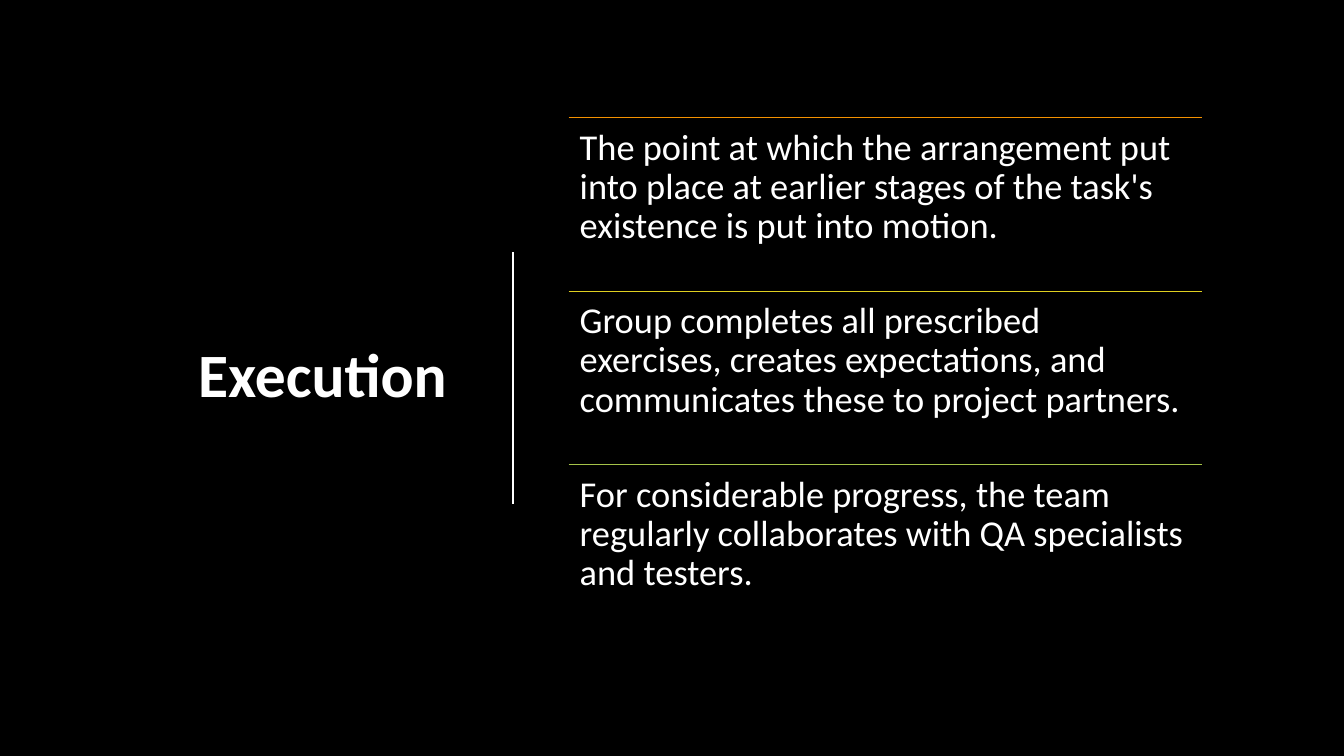
from dataclasses import dataclass

from lxml import etree
from pptx import Presentation
from pptx import util as u
from pptx.dml.color import RGBColor
from pptx.enum import shapes, text
from pptx.oxml import ns


@dataclass(frozen=True)
class Theme:
    font: str = "Calibri"
    background: str = "000000"
    ink: str = "FFFFFF"
    rules: tuple = ("F49100", "DFCF20", "A5C249")
    title_size: int = 44
    point_size: int = 26
    divider_width: float = 1.25
    rule_width: float = 0.5


THEME = Theme()
POINTS = (
    "The point at which the arrangement put into place at earlier stages of the task's existence is put into motion.",
    "Group completes all prescribed exercises, creates expectations, and communicates these to project partners.",
    "For considerable progress, the team regularly collaborates with QA specialists and testers.",
)


def apply_format(target, values):
    for name, value in values.items():
        setattr(target, name, value)


def add_line(slide, start, end, color, width):
    line = slide.shapes.add_connector(
        shapes.MSO_CONNECTOR.STRAIGHT, *map(u.Cm, start + end))
    line.line.color.rgb = RGBColor.from_string(color)
    line.line.width = u.Pt(width)
    etree.SubElement(line._element.spPr, ns.qn("a:effectLst"))


def add_text(slide, box, wording, frame_format, paragraph_format, font_format):
    frame = slide.shapes.add_textbox(*map(u.Cm, box)).text_frame
    apply_format(frame, {"word_wrap": True, **frame_format})
    paragraph = frame.paragraphs[0]
    apply_format(paragraph, {"line_spacing": 0.9, **paragraph_format})
    run = paragraph.add_run()
    run.text = wording
    apply_format(run.font, {"name": THEME.font, **font_format})
    run.font.color.rgb = RGBColor.from_string(THEME.ink)


def add_title(slide, box, wording):
    add_text(
        slide, box, wording,
        {"vertical_anchor": text.MSO_ANCHOR.MIDDLE},
        {"alignment": text.PP_ALIGN.RIGHT, "space_after": u.Pt(6)},
        {"size": u.Pt(THEME.title_size), "bold": True})


def add_divider(slide, box):
    left, top, _, height = box
    add_line(slide, (left, top), (left, top + height),
             THEME.ink, THEME.divider_width)


def add_points(slide, box, points):
    left, top, width, height = box
    row_height = height / len(points)
    sides = ("left", "top", "right", "bottom")
    margins = {f"margin_{side}": u.Cm(0.28) for side in sides}
    for row, (point, color) in enumerate(zip(points, THEME.rules)):
        row_top = top + row * row_height
        add_line(slide, (left, row_top), (left + width, row_top),
                 color, THEME.rule_width)
        add_text(
            slide, (left, row_top, width, row_height), point,
            {"vertical_anchor": text.MSO_ANCHOR.TOP, **margins},
            {"alignment": text.PP_ALIGN.LEFT},
            {"size": u.Pt(THEME.point_size)})


def main():
    deck = Presentation()
    apply_format(deck, {"slide_width": u.Cm(33.87), "slide_height": u.Cm(19.05)})
    slide = deck.slides.add_slide(deck.slide_layouts[6])
    fill = slide.background.fill
    fill.solid()
    fill.fore_color.rgb = RGBColor.from_string(THEME.background)
    add_title(slide, (2.33, 2.96, 9.19, 13.13), "Execution")
    add_divider(slide, (12.93, 6.35, 0, 6.35))
    add_points(slide, (14.33, 2.96, 15.95, 13.13), POINTS)
    deck.save("out.pptx")


if __name__ == "__main__":
    main()
